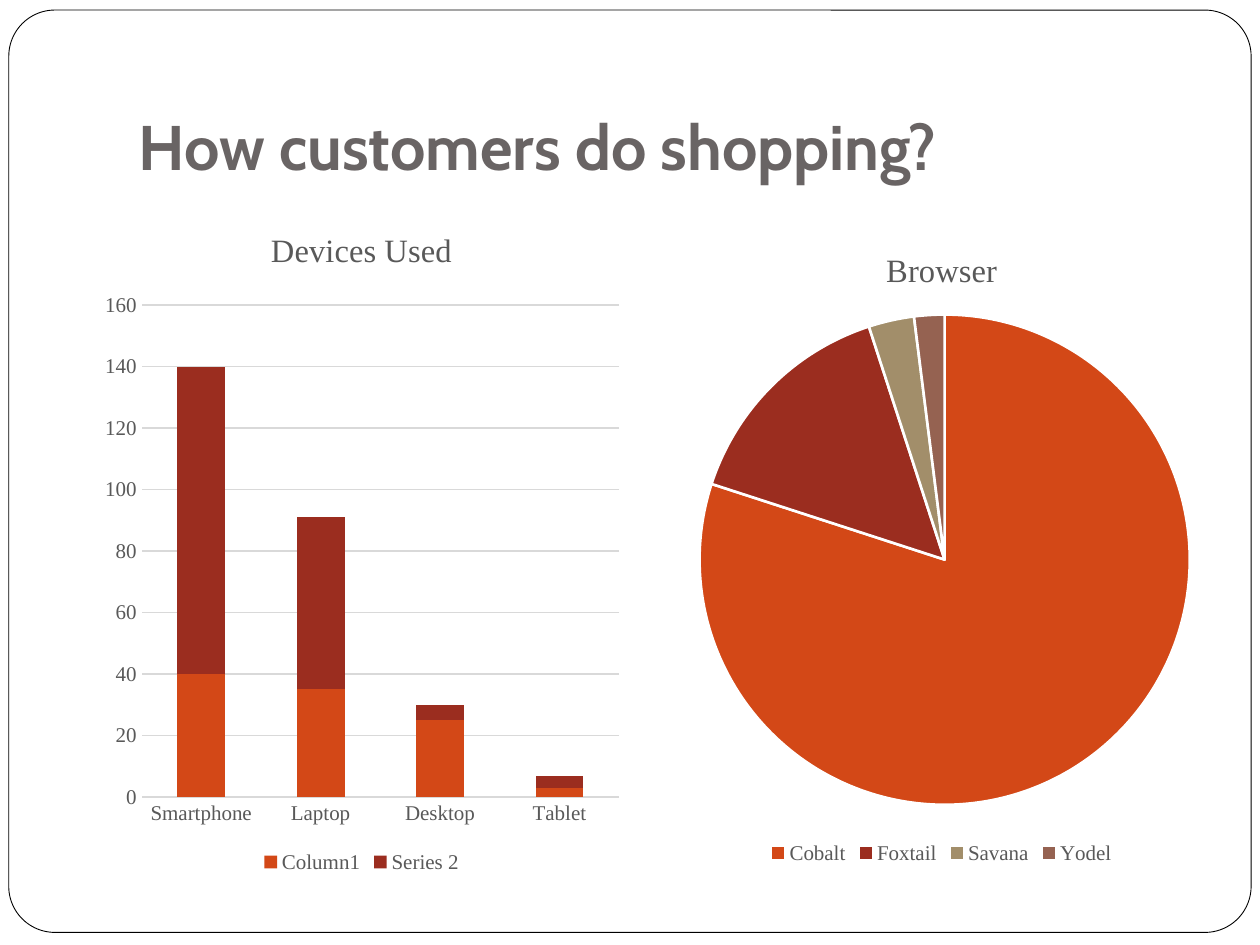
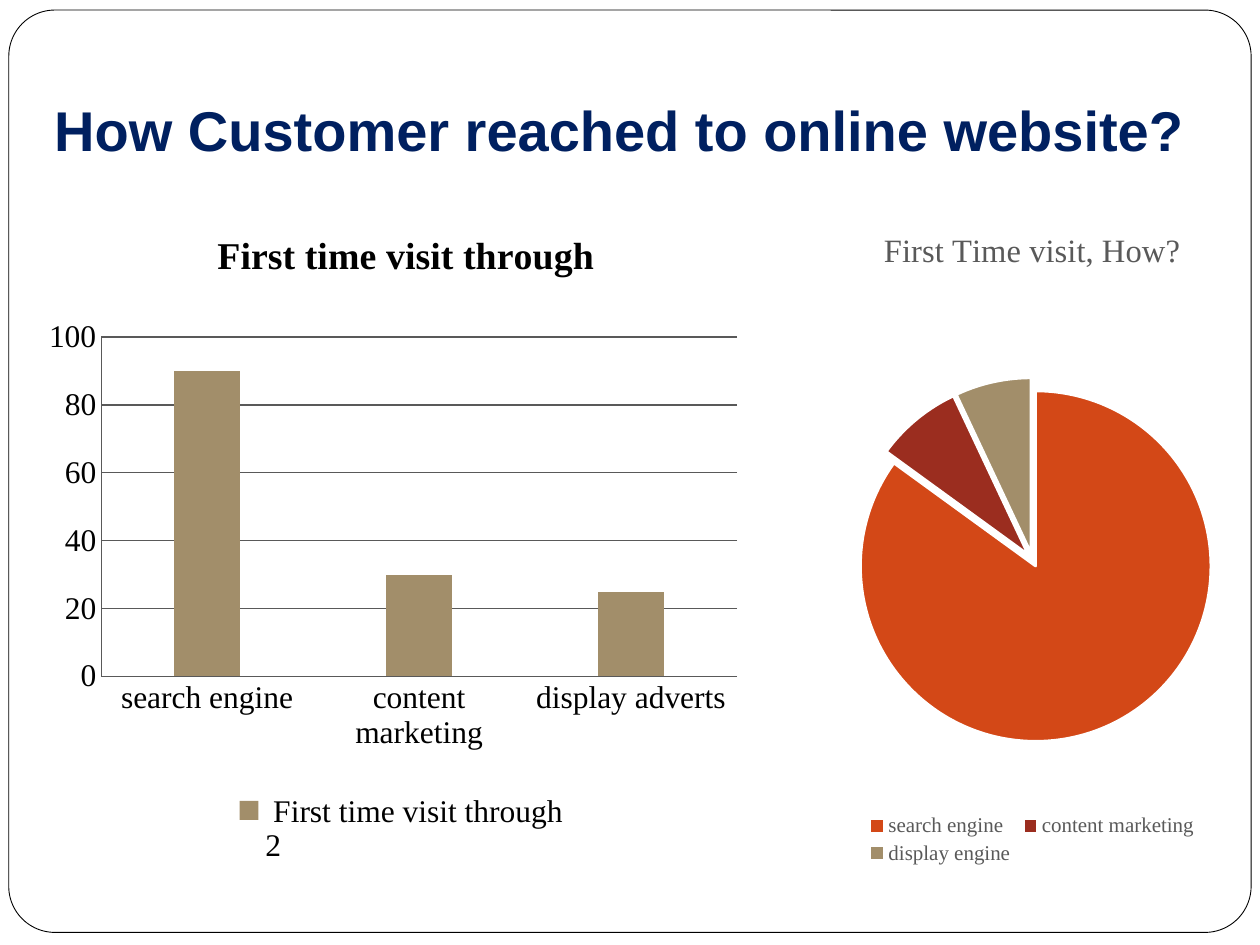
from dataclasses import dataclass

from lxml import etree
from pptx import Presentation
from pptx.chart.data import CategoryChartData as Data
from pptx.dml.color import RGBColor
from pptx.enum.chart import XL_CHART_TYPE as Kind
from pptx.enum.chart import XL_LEGEND_POSITION as Side
from pptx.enum.chart import XL_TICK_MARK as Tick
from pptx.enum.shapes import MSO_SHAPE as Shape
from pptx.enum.text import MSO_ANCHOR as Anchor
from pptx.enum.text import MSO_AUTO_SIZE as Fit
from pptx.enum.text import PP_ALIGN as Align
from pptx.oxml.ns import qn
from pptx.util import Inches, Pt

SERIF = "Times New Roman"
BLACK, WHITE, GRAY, PALE, DARK = "000000", "FFFFFF", "595959", "D9D9D9", "595959"
ORANGE, RED, TAN, BROWN = "D34817", "9B2D1F", "A28E6A", "956251"

Box = tuple[float, float, float, float]


@dataclass
class Title:
    text: str
    box: Box
    font: str
    size: int
    color: str


@dataclass
class Graph:
    kind: Kind
    title: str
    box: Box
    plot: Box
    cats: list[str]
    rows: dict[str, list[int]]
    colors: list[str]
    size: float = 12
    head: float = 18.6
    bold: bool = False
    ink: str = GRAY
    grid: str = PALE
    axis: bool = False
    gap: int = 150
    overlap: int = 100
    burst: int = 0


def rgb(color: str) -> RGBColor:
    return RGBColor.from_string(color)


def paint(target, color: str) -> None:
    target.fill.solid()
    target.fill.fore_color.rgb = rgb(color)


def style(font, size: float, color: str, name: str = SERIF, bold: bool = False) -> None:
    font.name, font.size, font.bold = name, Pt(size), bold
    font.color.rgb = rgb(color)


def place(box: Box) -> list[Inches]:
    return [Inches(n) for n in box]


def add_frame(slide) -> None:
    frame = slide.shapes.add_shape(Shape.ROUNDED_RECTANGLE, *place((0.07, 0.08, 9.86, 7.32)))
    frame.adjustments[0] = 0.05
    frame.shadow.inherit = False
    paint(frame, WHITE)
    frame.line.color.rgb = rgb(BLACK)
    frame.line.width = Pt(0.5)


def set_title(slide, title: Title) -> None:
    shape = slide.shapes.title
    slide.shapes._spTree.append(shape._element)  # in front of the frame
    shape.left, shape.top, shape.width, shape.height = place(title.box)
    text = shape.text_frame
    text.text = title.text
    text.word_wrap, text.auto_size = True, Fit.NONE
    text.vertical_anchor = Anchor.BOTTOM
    text.margin_bottom = Inches(0.1)
    line = text.paragraphs[0]
    line.alignment = Align.LEFT
    style(line.font, title.size, title.color, title.font, True)


def set_plot(chart, box: Box) -> None:
    """Fix the inner plot area, in fractions of the chart."""
    area = chart._chartSpace.find(".//" + qn("c:plotArea"))
    for old in area.findall(qn("c:layout")):
        area.remove(old)
    layout = etree.Element(qn("c:layout"))
    area.insert(0, layout)
    manual = etree.SubElement(layout, qn("c:manualLayout"))
    parts = [("layoutTarget", "inner"), ("xMode", "edge"), ("yMode", "edge")]
    parts += zip("xywh", box)
    for tag, val in parts:
        etree.SubElement(manual, qn(f"c:{tag}")).set("val", str(val))


def style_bars(chart, graph: Graph) -> None:
    plot = chart.plots[0]
    plot.gap_width, plot.overlap = graph.gap, graph.overlap
    for series, color in zip(plot.series, graph.colors):
        paint(series.format, color)
        series.invert_if_negative = False
    for axis in (chart.category_axis, chart.value_axis):
        axis.major_tick_mark = axis.minor_tick_mark = Tick.NONE
        style(axis.tick_labels.font, graph.size, graph.ink)
        line = axis.format.line
        if graph.axis:
            line.color.rgb = rgb(graph.grid)
        else:
            line.fill.background()
    grid = chart.value_axis.major_gridlines.format.line
    grid.color.rgb = rgb(graph.grid)
    grid.width = Pt(0.75)


def style_pie(chart, graph: Graph) -> None:
    series = chart.plots[0].series[0]
    for i, color in enumerate(graph.colors):
        part = series.points[i].format
        paint(part, color)
        part.line.color.rgb = rgb(WHITE)
        part.line.width = Pt(1.5)
    if graph.burst:
        for point in series._element.findall(qn("c:dPt")):
            burst = etree.Element(qn("c:explosion"))
            burst.set("val", str(graph.burst))
            point.find(qn("c:spPr")).addprevious(burst)


def add_graph(slide, graph: Graph) -> None:
    data = Data()
    data.categories = graph.cats
    for name, vals in graph.rows.items():
        data.add_series(name, vals)
    chart = slide.shapes.add_chart(graph.kind, *place(graph.box), data).chart
    style(chart.font, graph.size, graph.ink)
    chart.has_title = True
    chart.title_text = chart.chart_title.text_frame
    chart.title_text.text = graph.title
    style(chart.title_text.paragraphs[0].font, graph.head, graph.ink, bold=graph.bold)
    chart.has_legend = True
    chart.legend.position = Side.BOTTOM
    chart.legend.include_in_layout = False
    style(chart.legend.font, graph.size, graph.ink)
    if graph.kind == Kind.PIE:
        style_pie(chart, graph)
    else:
        style_bars(chart, graph)
    set_plot(chart, graph.plot)


DECK = [
    (
        Title("How customers do shopping?", (1, 0.3, 8.5, 1.25), "Cabin", 36, "696464"),
        [
            Graph(
                Kind.COLUMN_STACKED, "Devices Used",
                (0.74, 1.62, 4.26, 5.35), (0.09, 0.15, 0.89, 0.73),
                ["Smartphone", "Laptop", "Desktop", "Tablet"],
                {"Column1": [40, 35, 25, 3], "Series 2": [100, 56, 5, 4]},
                [ORANGE, RED],
            ),
            Graph(
                Kind.PIE, "Browser",
                (5.22, 1.78, 4.51, 5.12), (0.07, 0.14, 0.87, 0.76),
                ["Cobalt", "Foxtail", "Savana", "Yodel"],
                {"Series 1": [80, 15, 3, 2]},
                [ORANGE, RED, TAN, BROWN],
            ),
        ],
    ),
    (
        Title("How Customer reached to online website?", (0.33, 0.29, 9.33, 1.1),
              "Arial", 32, "002060"),
        [
            Graph(
                Kind.COLUMN_CLUSTERED, " First time visit through",
                (0.35, 1.62, 5.67, 5.28), (0.08, 0.2, 0.89, 0.51),
                ["search engine", "content marketing", "display adverts"],
                {" First time visit through\n2": [90, 30, 25]},
                [TAN], size=18, head=21.6, bold=True, ink=BLACK,
                grid=DARK, axis=True, gap=219, overlap=-27,
            ),
            Graph(
                Kind.PIE, "First Time visit, How?",
                (6.65, 1.62, 3.09, 5.28), (0.05, 0.27, 0.9, 0.53),
                ["search engine", "content marketing", "display engine"],
                {"First Time visit, How?": [85, 8, 7]},
                [ORANGE, RED, TAN], burst=4,
            ),
        ],
    ),
]


def main() -> None:
    deck = Presentation()
    deck.slide_width, deck.slide_height = Inches(10), Inches(7.5)
    for title, graphs in DECK:
        slide = deck.slides.add_slide(deck.slide_layouts[5])
        add_frame(slide)
        set_title(slide, title)
        for graph in graphs:
            add_graph(slide, graph)
    deck.save("out.pptx")


if __name__ == "__main__":
    main()
